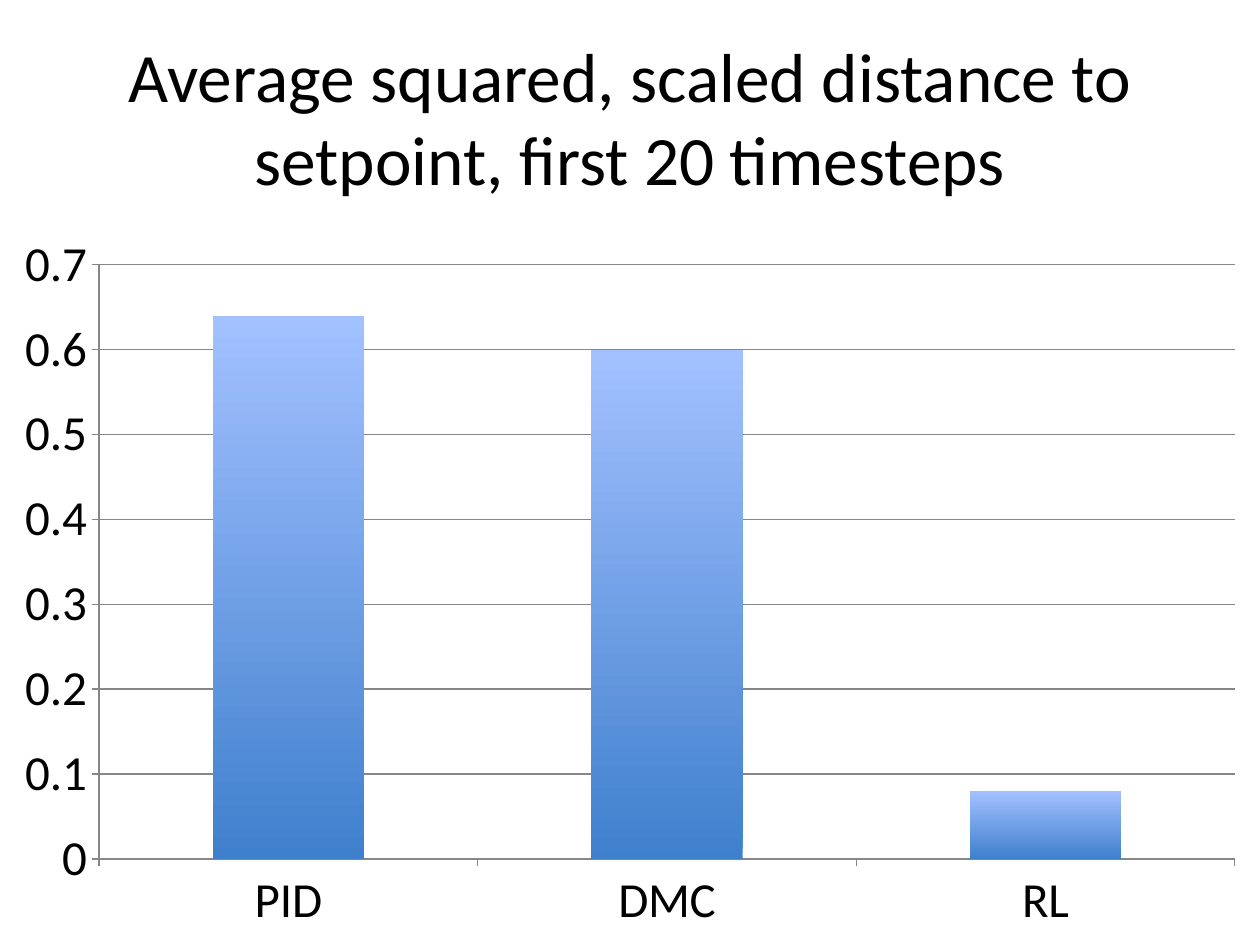
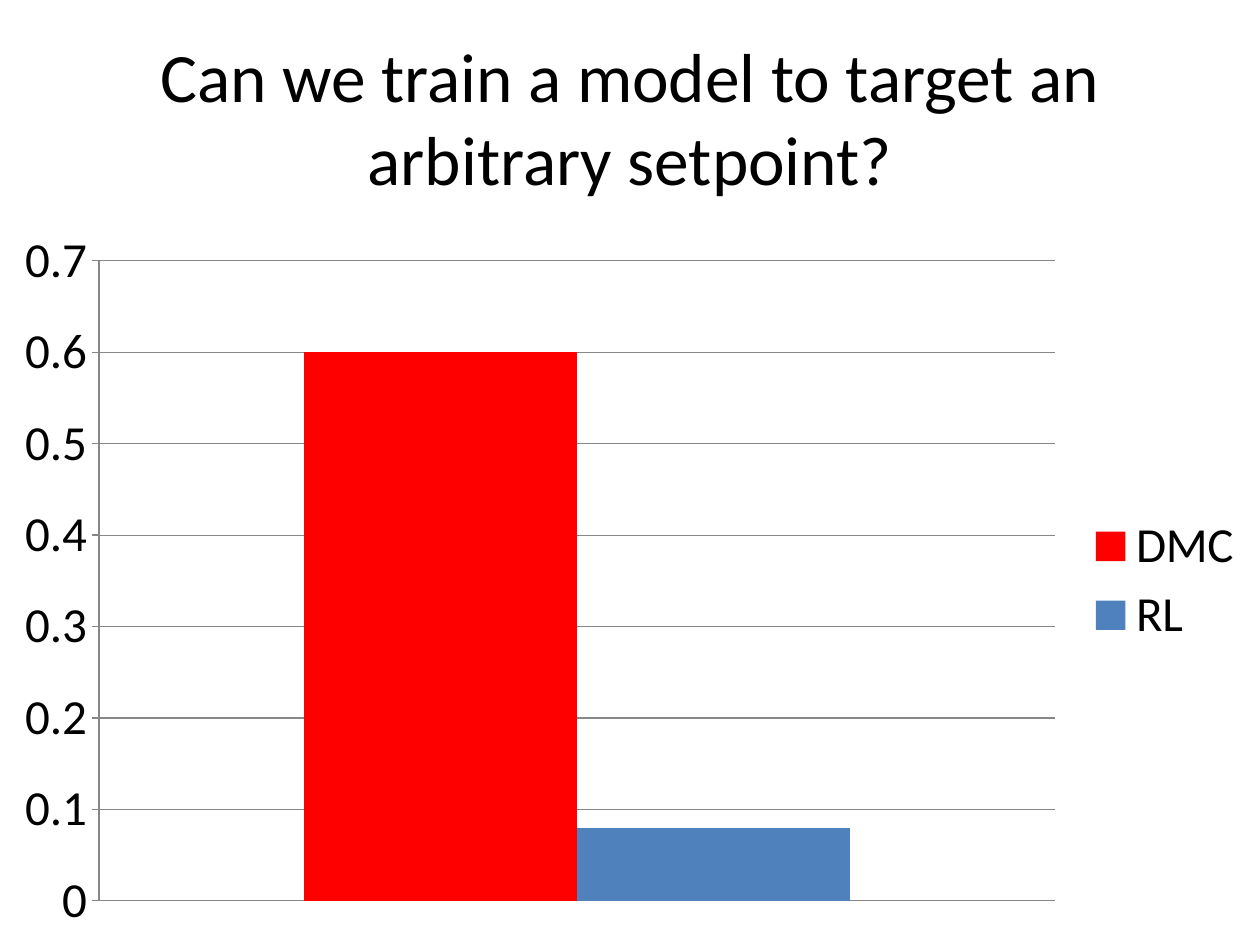
from dataclasses import dataclass

from pptx import Presentation
from pptx.chart.data import CategoryChartData
from pptx.dml.color import RGBColor
from pptx.enum.chart import XL_CHART_TYPE, XL_LEGEND_POSITION, XL_TICK_MARK
from pptx.enum.text import MSO_ANCHOR, PP_ALIGN
from pptx.util import Cm, Pt

COLUMNS = XL_CHART_TYPE.COLUMN_CLUSTERED
LEGEND_RIGHT = XL_LEGEND_POSITION.RIGHT
TICK_OUTSIDE = XL_TICK_MARK.OUTSIDE
MIDDLE = MSO_ANCHOR.MIDDLE
CENTER = PP_ALIGN.CENTER


@dataclass(frozen=True)
class Theme:
    font: str = "Calibri"
    title_size: Pt = Pt(39.6)
    label_size: Pt = Pt(28)
    line_width: Pt = Pt(0.75)
    text: RGBColor = RGBColor(0x00, 0x00, 0x00)
    grid: RGBColor = RGBColor(0x87, 0x87, 0x87)
    blue: RGBColor = RGBColor(0x4F, 0x81, 0xBD)
    red: RGBColor = RGBColor(0xFF, 0x00, 0x00)
    gradient_bottom: RGBColor = RGBColor(0x3F, 0x80, 0xCD)
    gradient_top: RGBColor = RGBColor(0xA3, 0xC1, 0xFF)


theme = Theme()


def style_font(font, size):
    font.name = theme.font
    font.size = size
    font.bold = False
    font.color.rgb = theme.text


def style_line(line):
    line.color.rgb = theme.grid
    line.width = theme.line_width


presentation = Presentation()
presentation.slide_width = Cm(25.4)
presentation.slide_height = Cm(19.05)
blank_layout = presentation.slide_layouts[6]

slide_contents = [
    (
        "Average squared, scaled distance to setpoint, first 20 timesteps",
        Cm(4.45),
        ["PID", "DMC", "RL"],
        {"Series 1": [0.64, 0.6, 0.08]},
    ),
    (
        "Can we train a model to target an arbitrary setpoint?",
        Cm(4.37),
        ["1"],
        {"DMC": [0.6], "RL": [0.08]},
    ),
]
series_colors = {"DMC": theme.red, "RL": theme.blue}

for title, chart_top, categories, series_values in slide_contents:
    slide = presentation.slides.add_slide(blank_layout)

    title_box = slide.shapes.add_textbox(Cm(1.27), Cm(0.76), Cm(22.86), Cm(3.18))
    title_frame = title_box.text_frame
    title_frame.word_wrap = True
    title_frame.vertical_anchor = MIDDLE
    paragraph = title_frame.paragraphs[0]
    paragraph.text = title
    paragraph.alignment = CENTER
    style_font(paragraph.font, theme.title_size)

    chart_data = CategoryChartData()
    chart_data.categories = categories
    for name, values in series_values.items():
        chart_data.add_series(name, values)
    chart = slide.shapes.add_chart(
        COLUMNS, 0, chart_top, presentation.slide_width,
        presentation.slide_height - chart_top, chart_data,
    ).chart
    style_font(chart.font, theme.label_size)
    chart.has_title = False

    value_axis = chart.value_axis
    value_axis.minimum_scale = 0
    value_axis.maximum_scale = 0.7
    value_axis.major_unit = 0.1
    value_axis.has_major_gridlines = True
    style_line(value_axis.major_gridlines.format.line)
    for axis in (chart.category_axis, value_axis):
        axis.major_tick_mark = TICK_OUTSIDE
        style_font(axis.tick_labels.font, theme.label_size)
        style_line(axis.format.line)

    plot = chart.plots[0]
    plot.gap_width = 150
    plot.overlap = 0
    plot.vary_by_categories = False

    compares_series = len(series_values) > 1
    chart.category_axis.visible = not compares_series
    chart.has_legend = compares_series
    if compares_series:
        chart.legend.position = LEGEND_RIGHT
        chart.legend.include_in_layout = False
        style_font(chart.legend.font, theme.label_size)

    for series in plot.series:
        series.invert_if_negative = False
        fill = series.format.fill
        if compares_series:
            fill.solid()
            fill.fore_color.rgb = series_colors[series.name]
        else:
            fill.gradient()
            fill.gradient_angle = 90
            fill.gradient_stops[0].color.rgb = theme.gradient_bottom
            fill.gradient_stops[1].color.rgb = theme.gradient_top

presentation.save("out.pptx")
